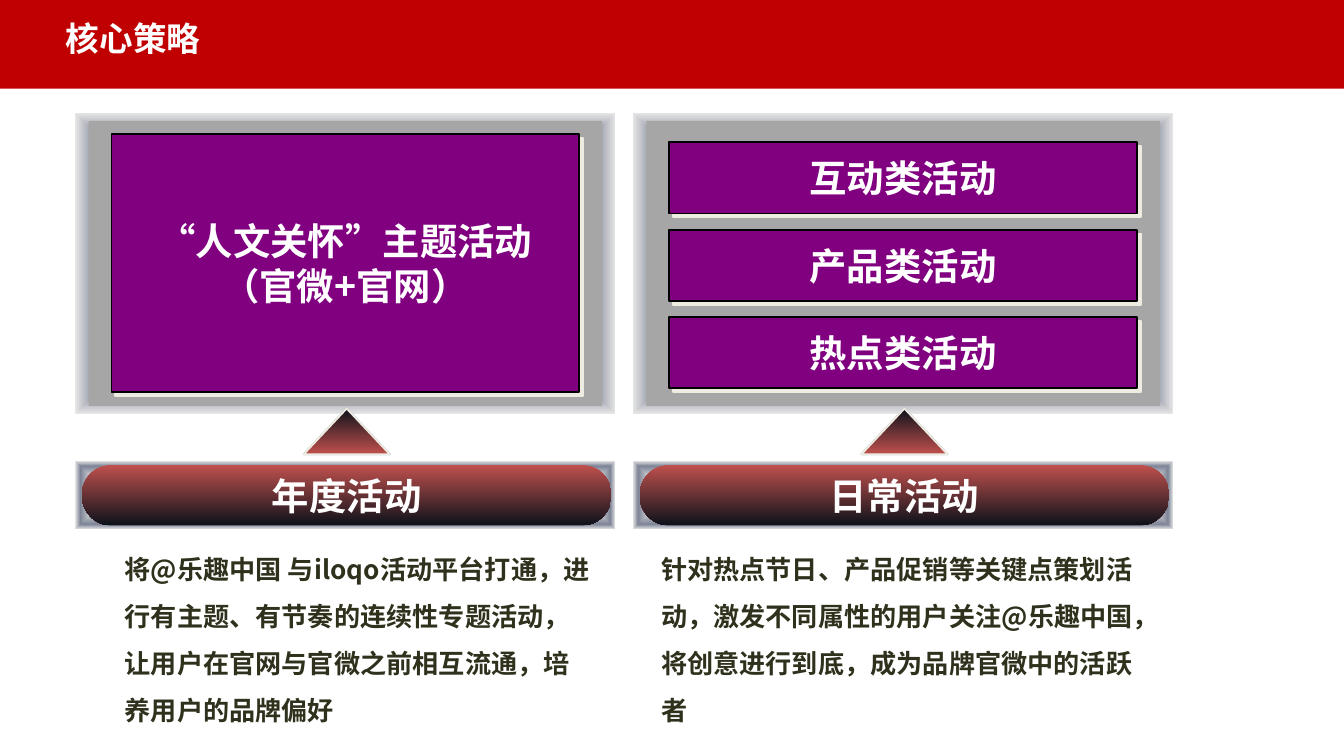
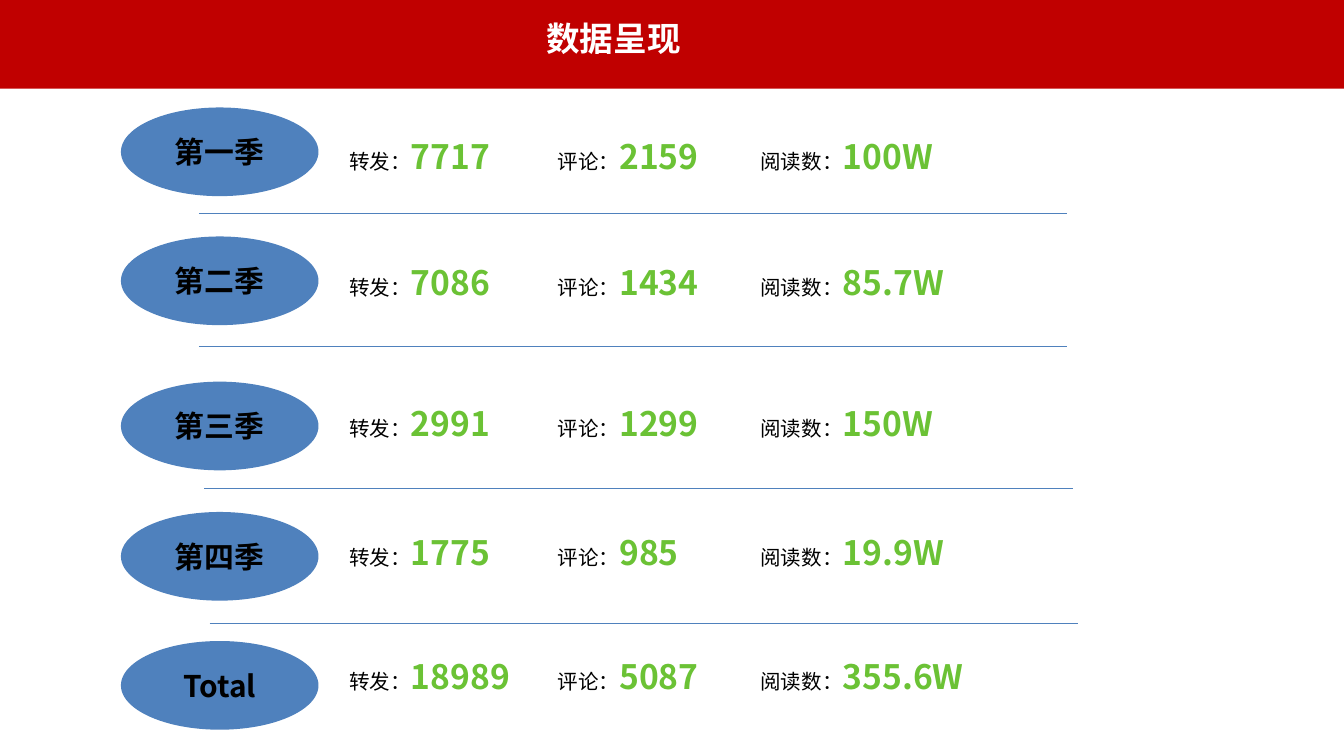
from pptx import Presentation
from pptx.dml.color import RGBColor
from pptx.enum.shapes import MSO_CONNECTOR as Connector, MSO_SHAPE as Shape
from pptx.enum.text import MSO_ANCHOR as Anchor, MSO_AUTO_SIZE as AutoSize, PP_ALIGN as Align
from pptx.oxml import parse_xml
from pptx.oxml.ns import nsdecls, qn
from pptx.util import Emu, Inches, Pt

FONT = "Noto Sans CJK SC"
COLORS = {
    "band": "C00000", "white": "FFFFFF", "black": "000000", "panel": "A6A6A6",
    "card": "800080", "cream": "EEECE1", "navy": "1F497D", "night": "0D121B",
    "brick": "C0504D", "body": "30311D", "blue": "4F81BD", "value": "6BC235",
    "silver": "E6E6E6", "steel": "7D8496",
}
BEVEL = [(0, "white"), (7, "silver"), (32, "steel"), (47, "silver"), (85, "steel"), (100, "silver")]
LINEAR = '<a:lin ang="5400000" scaled="0"/>'
FROM_CENTER = '<a:path path="shape"><a:fillToRect l="50000" t="50000" r="50000" b="50000"/></a:path>'

COLUMN_STEP = 41.5
CARD_STEP = 6.5
TAB_STOPS = (1.55, 3.06)
METRICS = ("转发：", "评论：", "阅读数：")

STRATEGIES = [
    ("年度活动", 8.3, 36.6,
     "将@乐趣中国 与iloqo活动平台打通，进行有主题、有节奏的连续性专题活动，"
     "让用户在官网与官微之前相互流通，培养用户的品牌偏好"),
    ("日常活动", 48.2, 38.1,
     "针对热点节日、产品促销等关键点策划活动，激发不同属性的用户关注@乐趣中国，"
     "将创意进行到底，成为品牌官微中的活跃者"),
]
DAILY_CARDS = ("互动类活动", "产品类活动", "热点类活动")
SEASONS = [
    ("第一季", 8.0, 9.3, ("7717", "2159", "100W")),
    ("第二季", 17.6, 18.7, ("7086", "1434", "85.7W")),
    ("第三季", 28.4, 29.2, ("2991", "1299", "150W")),
    ("第四季", 38.1, 38.8, ("1775", "985", "19.9W")),
    ("Total", 47.7, 48.0, ("18989", "5087", "355.6W")),
]
DIVIDERS = [(14.8, 15.9), (14.8, 25.8), (15.2, 36.3), (15.6, 46.4)]


def rgb(color):
    """Look up a named colour."""
    return RGBColor.from_string(COLORS[color])


class Deck:
    """Style and current slide, on a grid of 100 columns by 56.25 rows."""

    def __init__(self):
        """Set the slide size and the grid cell."""
        self.prs = Presentation()
        self.prs.slide_width, self.prs.slide_height = Inches(10), Inches(5.625)
        self.cell = self.prs.slide_width / 100
        self.layout = self.prs.slide_layouts[5]
        self.slide = None

    def grid(self, *cells):
        """Turn grid cells into lengths."""
        return [Emu(round(cell * self.cell)) for cell in cells]

    def new_slide(self, title, box, align=Align.LEFT):
        """Start a slide with its title over the shared band."""
        first = self.slide is None
        self.slide = self.prs.slides.add_slide(self.layout)
        if first:
            band = self.shape(Shape.RECTANGLE, (0, -0.2, 100, 6.8), "band")
            self.layout.shapes.element.insert(2, band.element)
        heading = self.slide.shapes.title
        heading.left, heading.top, heading.width, heading.height = self.grid(*box)
        self.label(heading, title, 18, "white", align)
        heading.text_frame.auto_size = AutoSize.NONE

    def style(self, run, size, color, bold=True):
        """Format one run, East Asian font included."""
        font = run.font
        font.size, font.bold, font.name = Pt(size), bold, FONT
        font.color.rgb = rgb(color)
        font._element.append(parse_xml(f'<a:ea {nsdecls("a")} typeface="{FONT}"/>'))

    def label(self, holder, text, size, color, align=Align.CENTER, wrap=True, anchor=Anchor.MIDDLE):
        """Set the text of a shape and format its runs."""
        frame = holder.text_frame
        frame.text = text
        frame.word_wrap, frame.vertical_anchor = wrap, anchor
        paragraph = frame.paragraphs[0]
        paragraph.alignment = align
        for run in paragraph.runs:
            self.style(run, size, color)
        return paragraph

    def shape(self, kind, box, fill=None, line=None):
        """Add a preset shape with a plain fill and no shadow."""
        shape = self.slide.shapes.add_shape(kind, *self.grid(*box))
        shape.shadow.inherit = False
        if fill:
            shape.fill.solid()
            shape.fill.fore_color.rgb = rgb(fill)
        if line:
            shape.line.color.rgb = rgb(line)
            shape.line.width = Pt(1)
        else:
            shape.line.fill.background()
        return shape

    def gradient(self, kind, box, stops, direction=LINEAR, line=None):
        """Add a shape filled with a gradient."""
        shape = self.shape(kind, box, line=line)
        shape.fill.background()
        marks = "".join(
            f'<a:gs pos="{share * 1000}"><a:srgbClr val="{COLORS[color]}"/></a:gs>'
            for share, color in stops)
        properties = shape.element.spPr
        properties.replace(properties.find(qn("a:noFill")), parse_xml(
            f'<a:gradFill {nsdecls("a")} rotWithShape="1"><a:gsLst>{marks}</a:gsLst>{direction}</a:gradFill>'))
        return shape

    def shadow(self, shape, color, opacity, distance, angle):
        """Give a shape a hard shadow."""
        shape.element.spPr.find(qn("a:effectLst")).append(parse_xml(
            f'<a:outerShdw {nsdecls("a")} blurRad="0" dist="{Pt(distance)}" dir="{angle * 60000}" '
            f'algn="ctr" rotWithShape="0"><a:srgbClr val="{COLORS[color]}">'
            f'<a:alpha val="{opacity * 1000}"/></a:srgbClr></a:outerShdw>'))

    def card(self, box, text):
        """Add a purple activity card."""
        card = self.shape(Shape.RECTANGLE, box, "card", "black")
        self.shadow(card, "cream", 100, 2.8, 45)
        self.label(card, text, 20, "white", wrap=False)

    def paragraph(self, box, text):
        """Add a block of running text."""
        block = self.slide.shapes.add_textbox(*self.grid(*box))
        self.label(block, text, 14, "body", Align.LEFT, anchor=Anchor.TOP).line_spacing = 1.5

    def metrics(self, box, values):
        """Add a line of labelled figures set on tab stops."""
        frame = self.slide.shapes.add_textbox(*self.grid(*box)).text_frame
        frame.word_wrap = True
        paragraph = frame.paragraphs[0]
        stops = "".join(f'<a:tab pos="{Inches(stop)}" algn="l"/>' for stop in TAB_STOPS)
        paragraph._p.get_or_add_pPr().append(parse_xml(f'<a:tabLst {nsdecls("a")}>{stops}</a:tabLst>'))
        paragraph.line_spacing = 1.1
        for index, (metric, value) in enumerate(zip(METRICS, values)):
            caption, figure = paragraph.add_run(), paragraph.add_run()
            caption.text = "\t" + metric if index else metric
            figure.text = value
            self.style(caption, 11, "black", False)
            self.style(figure, 18, "value")

    def divider(self, left, top, width):
        """Add a thin horizontal rule."""
        rule = self.slide.shapes.add_connector(
            Connector.STRAIGHT, *self.grid(left, top, left + width, top))
        rule.line.color.rgb = rgb("blue")
        rule.line.width = Pt(0.25)
        rule.element.spPr.append(parse_xml(f'<a:effectLst {nsdecls("a")}/>'))


def strategy_slide(deck):
    """Build the two strategy columns."""
    deck.new_slide("核心策略", (3.9, 0.8, 22.7, 4))
    for index, (heading, text_left, text_width, text) in enumerate(STRATEGIES):
        shift = index * COLUMN_STEP
        deck.gradient(Shape.RECTANGLE, (5.6 + shift, 8.4, 40.2, 22.4), BEVEL, FROM_CENTER)
        deck.shape(Shape.RECTANGLE, (6.6 + shift, 9, 38.2, 21.2), "panel")
        pointer = deck.gradient(Shape.ISOSCELES_TRIANGLE, (22.6 + shift, 30.4, 6.4, 3.4),
                                [(0, "night"), (100, "brick")], line="cream")
        deck.shadow(pointer, "navy", 50, 0, 0)
        deck.gradient(Shape.RECTANGLE, (5.6 + shift, 34.3, 40.2, 5.1), BEVEL, FROM_CENTER)
        pill = deck.gradient(Shape.ROUNDED_RECTANGLE, (6.1 + shift, 34.6, 39.4, 4.5),
                             [(0, "brick"), (100, "night")])
        pill.adjustments[0] = 0.49
        deck.label(pill, heading, 20, "white", wrap=False)
        deck.paragraph((text_left, 39.5, text_width, 15.2), text)
    deck.card((8.3, 10, 34.8, 19.2), "“人文关怀”主题活动\v（官微+官网）")
    for index, activity in enumerate(DAILY_CARDS):
        deck.card((8.3 + COLUMN_STEP, 10.6 + index * CARD_STEP, 34.8, 5.3), activity)


def results_slide(deck):
    """Build the season rows and the total."""
    deck.new_slide("数据呈现", (31.1, 0.8, 29.1, 4), Align.CENTER)
    for season, badge_top, text_top, values in SEASONS:
        badge = deck.shape(Shape.OVAL, (9, badge_top, 14.7, 6.6), "blue")
        deck.label(badge, season, 16, "black")
        deck.metrics((25, text_top, 56.6, 3.6), values)
    for left, top in DIVIDERS:
        deck.divider(left, top, 64.6)


def main():
    """Build and save the deck."""
    deck = Deck()
    strategy_slide(deck)
    results_slide(deck)
    deck.prs.save("out.pptx")


if __name__ == "__main__":
    main()
